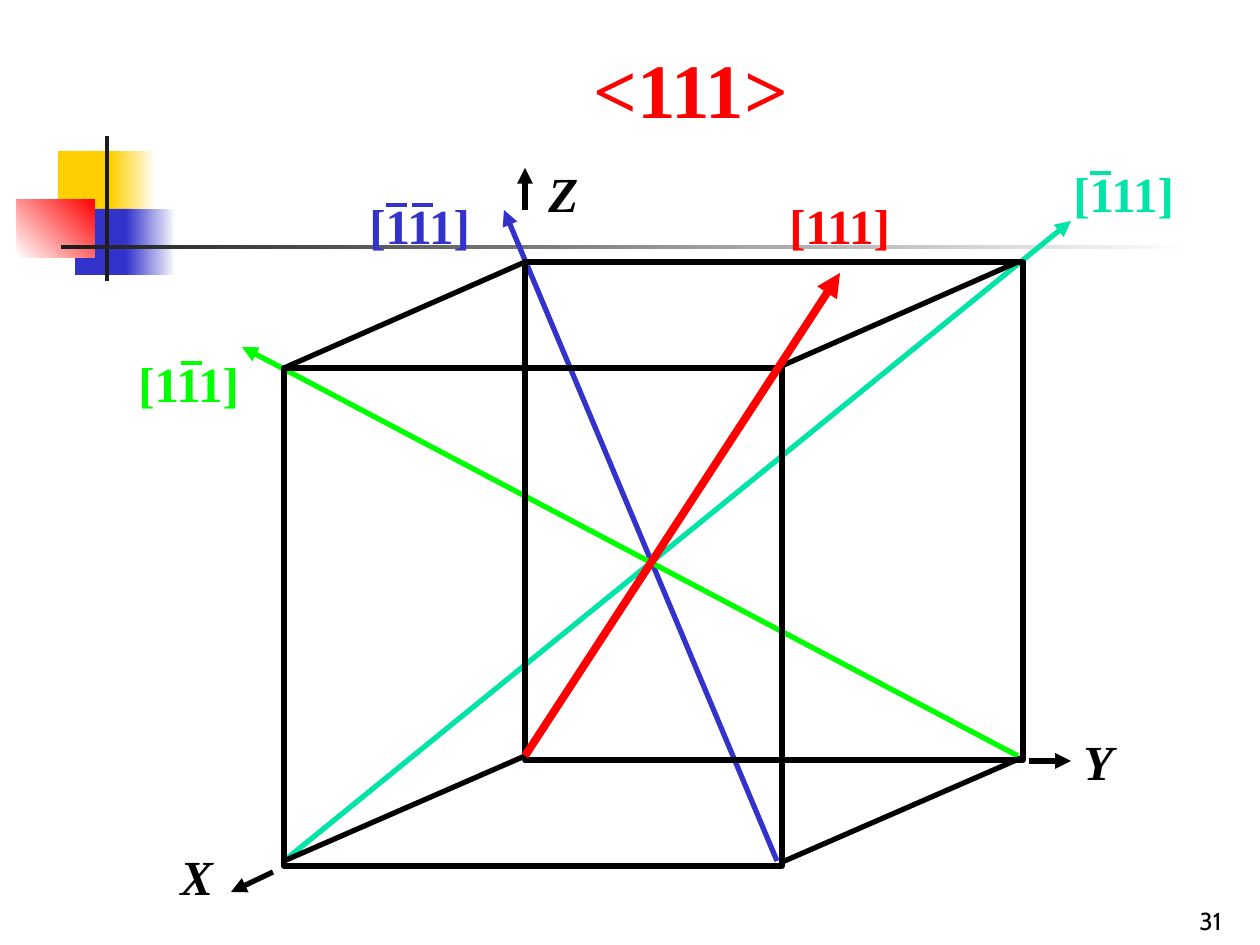
from lxml.etree import SubElement
from pptx import Presentation
from pptx.dml.color import RGBColor
from pptx.enum.shapes import MSO_CONNECTOR, MSO_SHAPE
from pptx.enum.text import MSO_ANCHOR, PP_ALIGN
from pptx.oxml.ns import qn
from pptx.util import Pt

PX = 7257  # EMU per px, 126 px to the inch
SERIF = "Times New Roman"
BLACK, RED, BLUE, GREEN, TEAL = "000000", "FF0000", "3333CC", "00FF00", "00E4A8"
YELLOW, DARK, WHITE = "FFCF01", "1C1C1C", "FFFFFF"

prs = Presentation()
prs.slide_width, prs.slide_height = 1260 * PX, 945 * PX
slide = prs.slides.add_slide(prs.slide_layouts[5])
shapes = slide.shapes
rgb = RGBColor.from_string


def add_line(start, end, color, width=3, arrow=False):
    line = shapes.add_connector(MSO_CONNECTOR.STRAIGHT, *(v * PX for v in (*start, *end)))
    line.line.color.rgb = rgb(color)
    line.line.width = Pt(width)
    if arrow:
        SubElement(line.line._get_or_add_ln(), qn("a:tailEnd"), type="triangle")
    SubElement(line._element.spPr, qn("a:effectLst"))


def add_label(box, text, color, size=28, font=SERIF, bold=True, italic=False):
    label = shapes.add_textbox(*(v * PX for v in box))
    label.text_frame.word_wrap = True
    run = label.text_frame.paragraphs[0].add_run()
    run.text = text
    run.font.size, run.font.name = Pt(size), font
    run.font.bold, run.font.italic = bold, italic
    run.font.color.rgb = rgb(color)
    return label


# Corner ornament: box, first colour, second colour, gradient angle
ornament = [
    ((58, 151, 60, 66), YELLOW, None, 0),
    ((111, 151, 45, 66), YELLOW, WHITE, 0),
    ((75, 209, 58, 66), BLUE, None, 0),
    ((126, 209, 50, 66), BLUE, WHITE, 0),
    ((17, 199, 78, 59), WHITE, RED, 45),
    ((105, 136, 4, 145), DARK, None, 0),
    ((61, 245, 1134, 4), DARK, WHITE, 0),
]
for box, first, second, angle in ornament:
    block = shapes.add_shape(MSO_SHAPE.RECTANGLE, *(v * PX for v in box))
    block.shadow.inherit = False
    block.line.fill.background()
    if second:
        block.fill.gradient()
        block.fill.gradient_angle = angle
        for stop, color in zip(block.fill.gradient_stops, (first, second)):
            stop.color.rgb = rgb(color)
    else:
        block.fill.solid()
        block.fill.fore_color.rgb = rgb(first)

# Slide number
number = add_label((1165, 892, 69, 50), "31", BLACK, 14, "Cabin", bold=False)
number.text_frame.vertical_anchor = MSO_ANCHOR.BOTTOM
number.text_frame.paragraphs[0].alignment = PP_ALIGN.RIGHT

# Title
title = shapes.title
title.left, title.top, title.width, title.height = (v * PX for v in (581, 45, 585, 95))
title.text_frame.vertical_anchor = MSO_ANCHOR.BOTTOM
heading = title.text_frame.paragraphs[0]
heading.alignment = PP_ALIGN.LEFT
family = heading.add_run()
family.text = "<111>"
family.font.size, family.font.name, family.font.bold = Pt(44), SERIF, True
family.font.color.rgb = rgb(RED)

# Diagonals behind the cube
add_line((777, 861), (504, 210), BLUE, arrow=True)
add_line((1018, 756), (242, 347), GREEN, arrow=True)
add_line((284, 861), (1071, 221), TEAL, arrow=True)

# Direction labels, with a bar over each negative index
BAR_LEFT, BAR_STEP, BAR_WIDTH, BAR_TOP = 29, 26, 21, 16
directions = [
    (777, 189, RED, []),
    (1061, 157, TEAL, [0]),
    (126, 347, GREEN, [1]),
    (357, 189, BLUE, [0, 1]),
]
for left, top, color, negatives in directions:
    add_label((left, top, 136, 72), "[111]", color)
    for index in negatives:
        bar_left = left + BAR_LEFT + index * BAR_STEP
        add_line((bar_left, top + BAR_TOP), (bar_left + BAR_WIDTH, top + BAR_TOP), color, 2.25)

# Cube: front and back faces, then the edges between them
for left, top in ((284, 368), (525, 262)):
    face = shapes.add_shape(MSO_SHAPE.RECTANGLE, *(v * PX for v in (left, top, 498, 498)))
    face.shadow.inherit = False
    face.fill.background()
    face.line.color.rgb = rgb(BLACK)
    face.line.width = Pt(3)
for back, front in [
    ((525, 262), (284, 368)),
    ((1018, 262), (777, 368)),
    ((525, 756), (284, 861)),
    ((1021, 758), (780, 863)),
]:
    add_line(back, front, BLACK)

# Axes: name, label corner, arrow start and end
for axis, corner, start, end in [
    ("X", (168, 840), (273, 872), (231, 892)),
    ("Z", (536, 157), (525, 210), (525, 168)),
    ("Y", (1071, 725), (1029, 761), (1071, 761)),
]:
    add_line(start, end, BLACK, arrow=True)
    add_label((*corner, 73, 72), axis, BLACK, italic=True)

# Main diagonal in front of the cube
add_line((525, 756), (840, 273), RED, 4.5, arrow=True)

prs.save("out.pptx")
